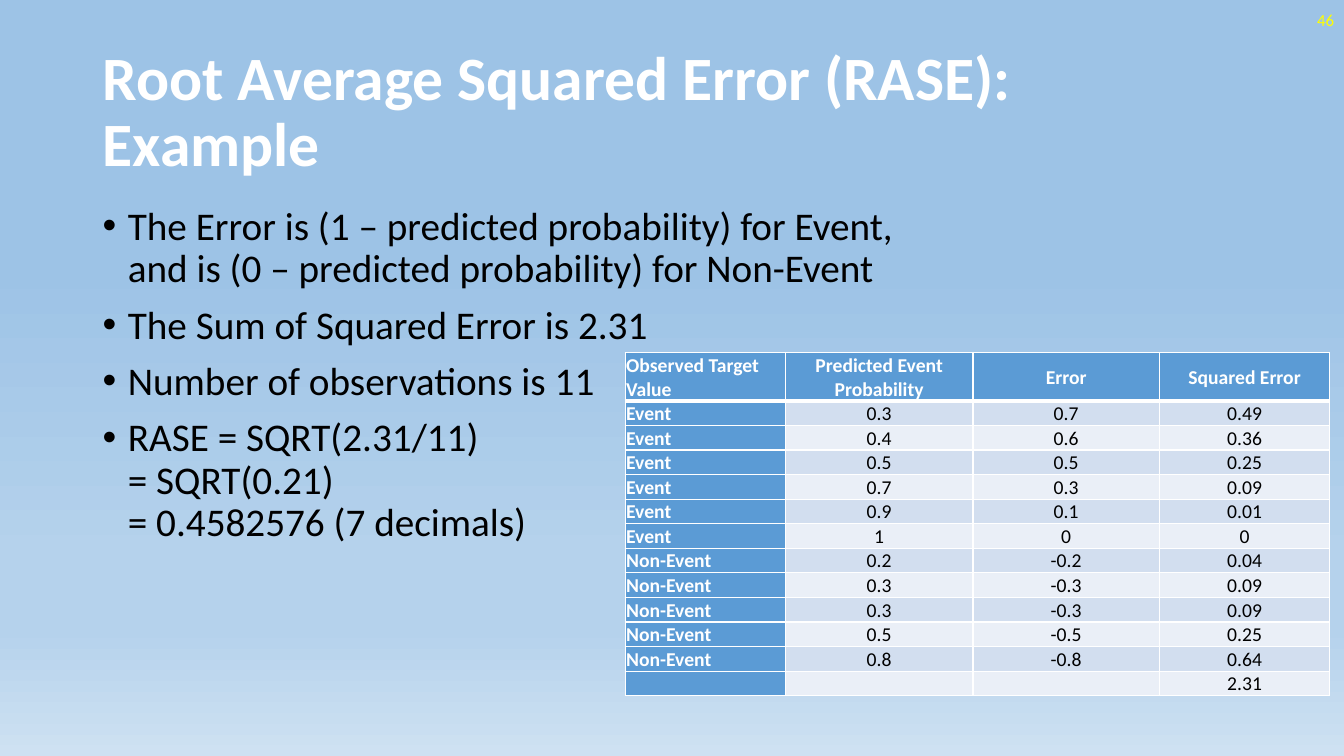
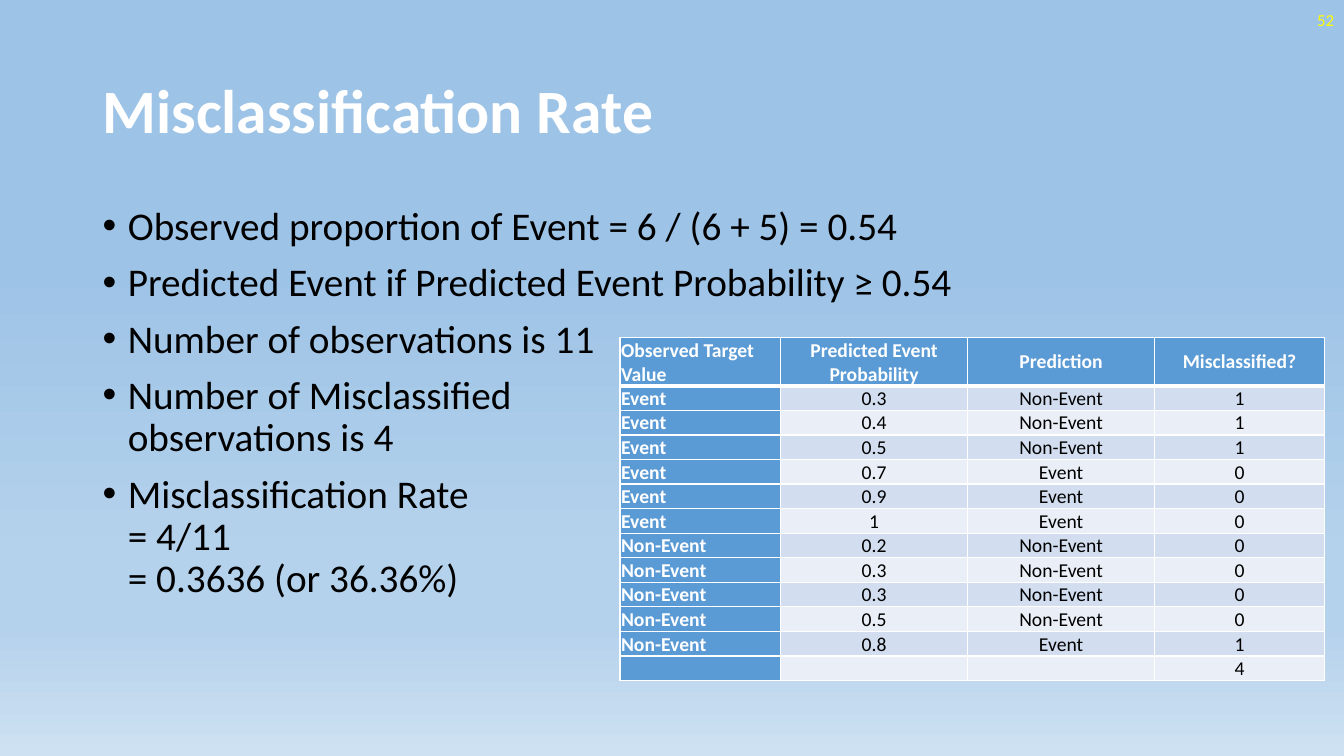
from lxml import etree
from pptx import Presentation
from pptx.dml.color import RGBColor
from pptx.enum.text import MSO_ANCHOR, PP_ALIGN
from pptx.oxml.ns import qn
from pptx.util import Inches, Pt

LEFT, CENTER, RIGHT = PP_ALIGN.LEFT, PP_ALIGN.CENTER, PP_ALIGN.RIGHT
TOP, MIDDLE = MSO_ANCHOR.TOP, MSO_ANCHOR.MIDDLE

WHITE = RGBColor(0xFF, 0xFF, 0xFF)
BLACK = RGBColor(0x00, 0x00, 0x00)
YELLOW = RGBColor(0xFF, 0xFF, 0x00)
HEADER_BLUE = RGBColor(0x5B, 0x9B, 0xD5)
BAND_DARK = RGBColor(0xD2, 0xDE, 0xEF)
BAND_LIGHT = RGBColor(0xEA, 0xEF, 0xF7)
SKY_TOP = RGBColor(0x9D, 0xC3, 0xE6)
SKY_MIDDLE = RGBColor(0xB5, 0xD2, 0xEC)
SKY_BOTTOM = RGBColor(0xCE, 0xE1, 0xF2)
SKY_STOPS = [(35, SKY_TOP), (74, SKY_MIDDLE), (83, SKY_MIDDLE), (100, SKY_BOTTOM)]

FONT = "Calibri"
TABLE_SIZE = 14
COL_WIDTHS = [1.59, 1.86, 1.85, 1.69]
HEADER_HEIGHT, ROW_HEIGHT = 0.23, 0.18

OBSERVED = ["Event"] * 6 + ["Non-Event"] * 5 + [""]
PROBABILITY = ["0.3", "0.4", "0.5", "0.7", "0.9", "1",
               "0.2", "0.3", "0.3", "0.5", "0.8", ""]
SHARED_COLUMNS = [
    ("Observed Target Value", OBSERVED),
    ("Predicted Event Probability", PROBABILITY),
]

SLIDES = [
    {
        "number": "46",
        "title": "Root Average Squared Error (RASE): Example",
        "bullets": [
            "The Error is (1 – predicted probability) for Event,\n"
            "and is (0 – predicted probability) for Non-Event",
            "The Sum of Squared Error is 2.31",
            "Number of observations is 11",
            "RASE = SQRT(2.31/11)\n= SQRT(0.21)\n= 0.4582576 (7 decimals)",
        ],
        "table_at": (6.2, 3.5),
        "columns": [
            ("Error", ["0.7", "0.6", "0.5", "0.3", "0.1", "0",
                       "-0.2", "-0.3", "-0.3", "-0.5", "-0.8", ""]),
            ("Squared Error", ["0.49", "0.36", "0.25", "0.09", "0.01", "0",
                               "0.04", "0.09", "0.09", "0.25", "0.64", "2.31"]),
        ],
    },
    {
        "number": "52",
        "title": "Misclassification Rate",
        "bullets": [
            "Observed proportion of Event = 6 / (6 + 5) = 0.54",
            "Predicted Event if Predicted Event Probability ≥ 0.54",
            "Number of observations is 11",
            "Number of Misclassified\nobservations is 4",
            "Misclassification Rate\n= 4/11\n= 0.3636 (or 36.36%)",
        ],
        "table_at": (6.15, 3.35),
        "columns": [
            ("Prediction", ["Non-Event"] * 3 + ["Event"] * 3
             + ["Non-Event"] * 4 + ["Event", ""]),
            ("Misclassified?", ["1"] * 3 + ["0"] * 7 + ["1", "4"]),
        ],
    },
]


def paint_background(master):
    fill = master.background.fill
    fill.gradient()
    fill.gradient_angle = 270
    stops = master.element.find(".//" + qn("a:gsLst"))
    for old in list(stops):
        stops.remove(old)
    for position, color in SKY_STOPS:
        stop = etree.SubElement(stops, qn("a:gs"), pos=str(position * 1000))
        etree.SubElement(stop, qn("a:srgbClr"), val=str(color))


def add_text(p, text, size, color, bold=False):
    for i, line in enumerate(text.split("\n")):
        if i:
            p.add_line_break()
        r = p.add_run()
        r.text = line
        r.font.name = FONT
        r.font.size = Pt(size)
        r.font.bold = bold
        r.font.color.rgb = color


def add_box(slide, left, top, width, height, anchor):
    box = slide.shapes.add_textbox(Inches(left), Inches(top), Inches(width), Inches(height))
    tf = box.text_frame
    tf.word_wrap = True
    tf.vertical_anchor = anchor
    return tf


def add_title(slide, text):
    tf = add_box(slide, 0.92, 0.4, 11.5, 1.45, MIDDLE)
    tf.margin_right = Inches(0.2)
    p = tf.paragraphs[0]
    p.line_spacing = 0.9
    add_text(p, text, 44, WHITE, True)


def add_bullets(slide, bullets):
    tf = add_box(slide, 0.92, 2, 11.5, 4.76, TOP)
    for i, text in enumerate(bullets):
        p = tf.add_paragraph() if i else tf.paragraphs[0]
        p.line_spacing = 0.9
        p.space_before = Pt(10)
        pPr = p._p.get_or_add_pPr()
        pPr.set("marL", str(Inches(0.25)))
        pPr.set("indent", str(Inches(-0.25)))
        etree.SubElement(pPr, qn("a:buFont"), typeface="Arial")
        etree.SubElement(pPr, qn("a:buChar"), char="•")
        add_text(p, text, 28, BLACK)


def add_number(slide, number):
    p = add_box(slide, 10.33, 0, 3, 0.4, MIDDLE).paragraphs[0]
    p.alignment = RIGHT
    add_text(p, number, 12, YELLOW)


def add_borders(cell, row):
    tcPr = cell._tc.get_or_add_tcPr()
    widths = {"L": 1, "R": 1, "T": 3 if row == 1 else 1, "B": 3 if row == 0 else 1}
    for side, width in widths.items():
        ln = etree.SubElement(tcPr, qn("a:ln" + side), w=str(Pt(width)))
        line_fill = etree.SubElement(ln, qn("a:solidFill"))
        etree.SubElement(line_fill, qn("a:srgbClr"), val=str(WHITE))


def fill_cell(cell, text, row, col):
    heading = row == 0 or col == 0
    add_borders(cell, row)
    cell.fill.solid()
    band = BAND_DARK if row % 2 else BAND_LIGHT
    cell.fill.fore_color.rgb = HEADER_BLUE if heading else band
    cell.margin_left = cell.margin_right = cell.margin_top = Inches(0.01)
    cell.margin_bottom = 0
    cell.vertical_anchor = MIDDLE
    p = cell.text_frame.paragraphs[0]
    p.alignment = CENTER if col else LEFT
    if text:
        add_text(p, text, TABLE_SIZE, WHITE if heading else BLACK, heading)
    else:
        etree.SubElement(p._p, qn("a:endParaRPr"), sz=str(TABLE_SIZE * 100))


def add_data_table(slide, at, columns):
    rows = len(OBSERVED) + 1
    left, top = at
    height = HEADER_HEIGHT + ROW_HEIGHT * (rows - 1)
    table = slide.shapes.add_table(
        rows, len(columns), Inches(left), Inches(top),
        Inches(sum(COL_WIDTHS)), Inches(height)).table
    for row in range(rows):
        table.rows[row].height = Inches(ROW_HEIGHT if row else HEADER_HEIGHT)
    for col, (heading, values) in enumerate(columns):
        table.columns[col].width = Inches(COL_WIDTHS[col])
        for row, text in enumerate([heading] + values):
            fill_cell(table.cell(row, col), text, row, col)


def main():
    prs = Presentation()
    prs.slide_width, prs.slide_height = Inches(13.33), Inches(7.5)
    paint_background(prs.slide_master)
    for content in SLIDES:
        slide = prs.slides.add_slide(prs.slide_layouts[6])
        add_title(slide, content["title"])
        add_bullets(slide, content["bullets"])
        add_number(slide, content["number"])
        add_data_table(slide, content["table_at"], SHARED_COLUMNS + content["columns"])
    prs.save("out.pptx")


if __name__ == "__main__":
    main()
